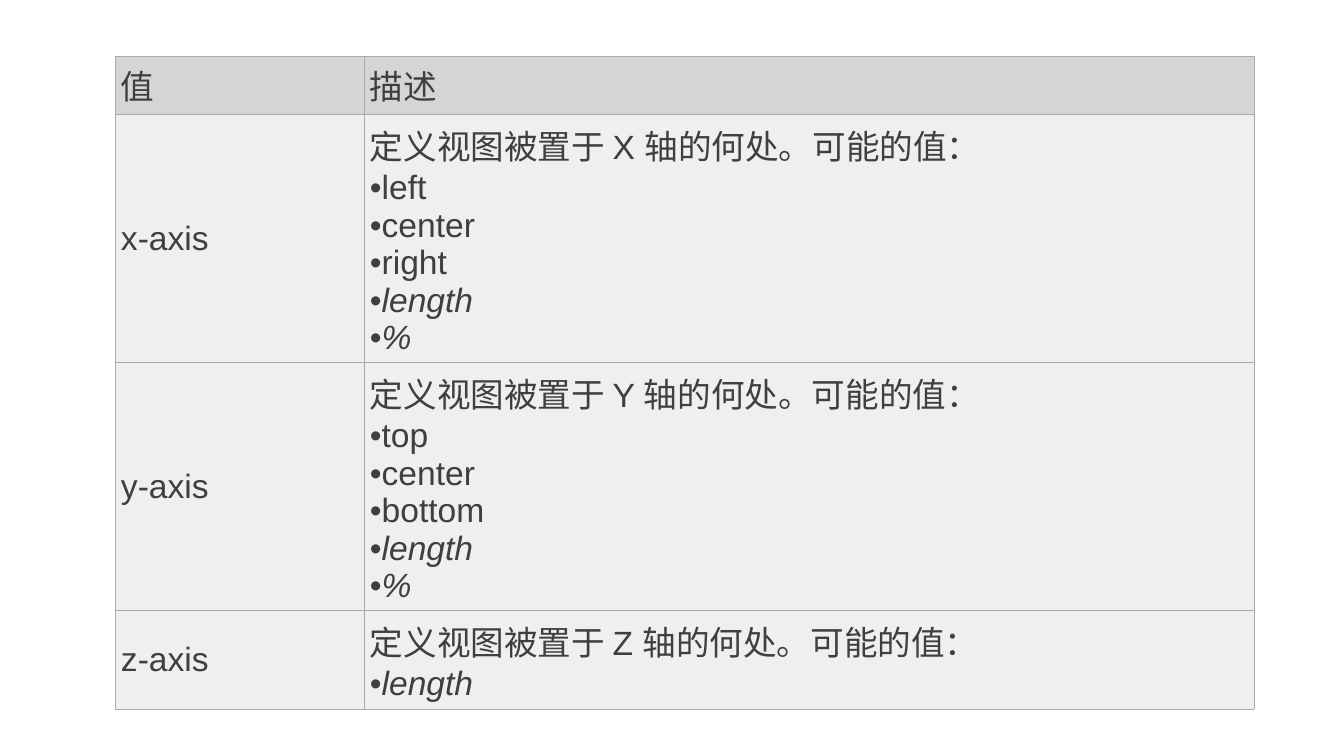
from lxml.etree import SubElement
from pptx import Presentation
from pptx.dml.color import RGBColor
from pptx.enum.text import MSO_ANCHOR as Anchor
from pptx.oxml.ns import qn
from pptx.util import Emu, Pt

EMU_PER_PX = 914400 / 100.8
LEFT, TOP, TABLE_HEIGHT = 115, 56, 651
COLUMN_WIDTHS = [249, 890]
ROW_HEIGHTS = [48, 229, 229, 86]

AXES = {
    "x": ["left", "center", "right", "length", "%"],
    "y": ["top", "center", "bottom", "length", "%"],
    "z": ["length"],
}
PLACEHOLDER_VALUES = {"length", "%"}


def px(length):
    return Emu(round(length * EMU_PER_PX))


def color(hex_string):
    return RGBColor.from_string(hex_string)


class SlideBuilder:
    font = {"name": "Arial", "size": Pt(24)}
    text_color = "3D3F41"
    border_color = "AAAAAA"
    header_fill = "D5D5D5"
    body_fill = "EFEFEF"

    def __init__(self, slide):
        self.slide = slide

    def table(self, left, top, height, widths, heights):
        frame = self.slide.shapes.add_table(
            len(heights), len(widths),
            px(left), px(top), px(sum(widths)), px(height))
        table = frame.table
        table.first_row = table.horz_banding = False
        for column, width in zip(table.columns, widths):
            column.width = px(width)
        for row, row_height in zip(table.rows, heights):
            row.height = px(row_height)
        frame.height = px(height)
        return table

    def cell(self, cell, text, values=(), header=False):
        """Fill a cell with one line of text and a bullet for each value."""
        inset = 5 if header else 6
        layout = {
            "margin_left": px(6), "margin_right": px(15),
            "margin_top": px(inset), "margin_bottom": px(inset),
            "vertical_anchor": Anchor.MIDDLE,
        }
        for name, value in layout.items():
            setattr(cell, name, value)
        self.borders(cell)
        cell.fill.solid()
        cell.fill.fore_color.rgb = color(
            self.header_fill if header else self.body_fill)
        self.add_text(cell.text_frame.paragraphs[0], text)
        for value in values:
            para = cell.text_frame.add_paragraph()
            self.bullet(para)
            self.add_text(para, value, italic=value in PLACEHOLDER_VALUES)

    def add_text(self, para, text, italic=False):
        span = para.add_run()
        span.text = text
        for name, value in {**self.font, "italic": italic}.items():
            setattr(span.font, name, value)
        span.font.color.rgb = color(self.text_color)

    def bullet(self, para):
        properties = para._p.get_or_add_pPr()
        properties.set("marL", "0")
        properties.set("indent", "0")
        SubElement(properties, qn("a:buFont"), typeface="Arial")
        SubElement(properties, qn("a:buChar"), char="•")

    def borders(self, cell):
        properties = cell._tc.get_or_add_tcPr()
        for side in ("a:lnL", "a:lnR", "a:lnT", "a:lnB"):
            line = SubElement(properties, qn(side), w=str(Pt(0.75)))
            fill = SubElement(line, qn("a:solidFill"))
            SubElement(fill, qn("a:srgbClr"), val=self.border_color)


def main():
    deck = Presentation()
    deck.slide_width, deck.slide_height = px(1344), px(756)
    page = SlideBuilder(deck.slides.add_slide(deck.slide_layouts[6]))

    table = page.table(LEFT, TOP, TABLE_HEIGHT, COLUMN_WIDTHS, ROW_HEIGHTS)
    for column, heading in enumerate(["值", "描述"]):
        page.cell(table.cell(0, column), heading, header=True)
    for row, (axis, values) in enumerate(AXES.items(), start=1):
        description = f"定义视图被置于 {axis.upper()} 轴的何处。可能的值："
        page.cell(table.cell(row, 0), f"{axis}-axis")
        page.cell(table.cell(row, 1), description, values)

    deck.save("out.pptx")


if __name__ == "__main__":
    main()
